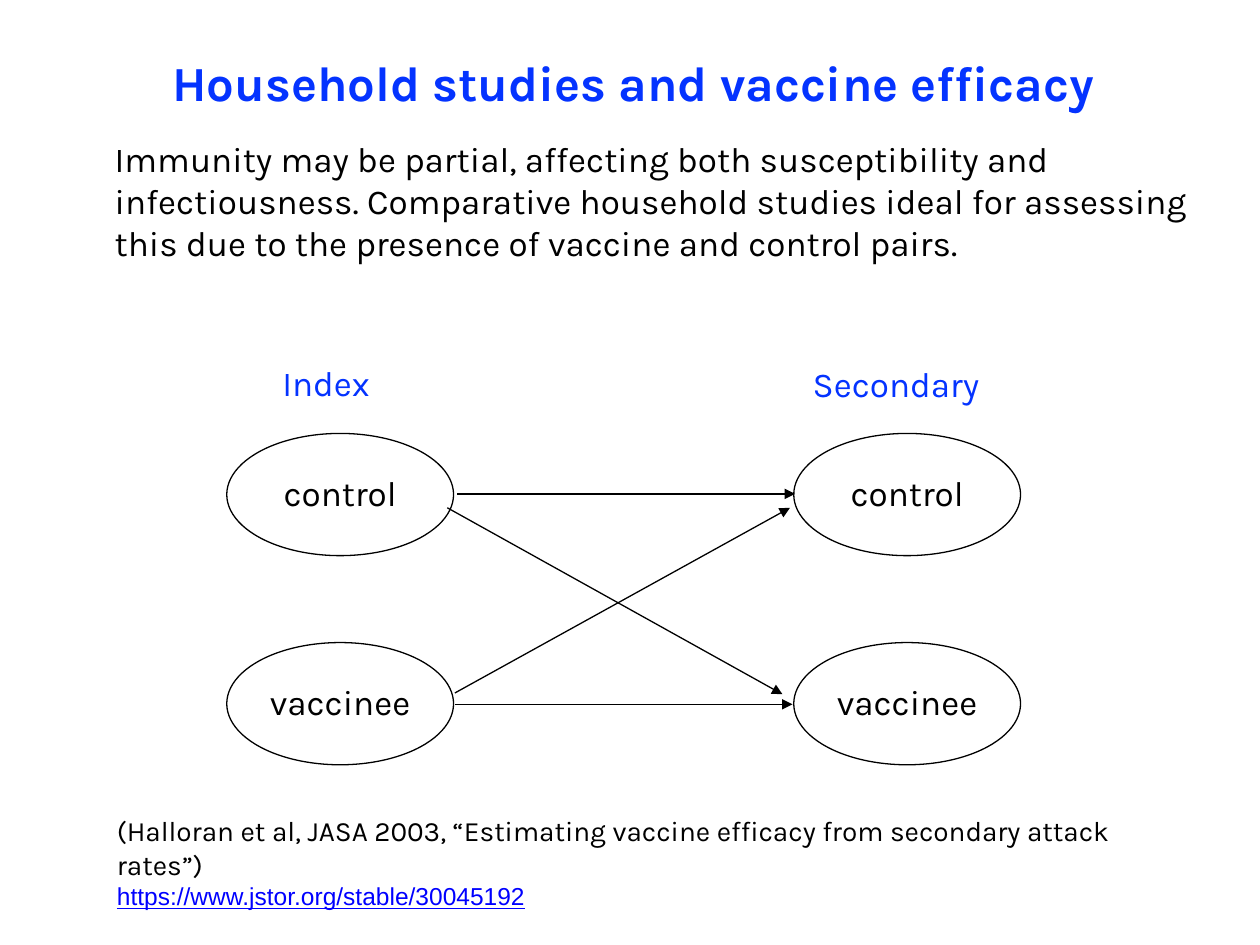
"""Build the slide on household studies and vaccine efficacy."""
from lxml import etree
from pptx import Presentation
from pptx.dml.color import RGBColor
from pptx.enum.shapes import MSO_CONNECTOR, MSO_SHAPE
from pptx.enum.text import MSO_ANCHOR, PP_ALIGN
from pptx.oxml.ns import qn
from pptx.util import Inches, Pt

LEFT, CENTER = PP_ALIGN.LEFT, PP_ALIGN.CENTER
TOP, MIDDLE = MSO_ANCHOR.TOP, MSO_ANCHOR.MIDDLE
OVAL, STRAIGHT = MSO_SHAPE.OVAL, MSO_CONNECTOR.STRAIGHT
COLORS = {"black": "000000", "heading": "0433FF", "link": "0000FF"}


def add_span(para, text, size, color, font="Karla"):
    span = para.add_run()
    span.text = text
    span.font.name = font
    span.font.size = Pt(size)
    span.font.color.rgb = RGBColor.from_string(COLORS[color])
    return span


def add_box(shapes, place, inset=0.06, indent=0.04, align=LEFT, anchor=TOP):
    frame = shapes.add_textbox(*map(Inches, place)).text_frame
    frame.word_wrap = True
    frame.vertical_anchor = anchor
    frame.margin_left = frame.margin_right = Inches(inset)
    frame.margin_top = frame.margin_bottom = Inches(inset)
    para = frame.paragraphs[0]
    para.alignment = align
    para._p.get_or_add_pPr().set("marL", str(Inches(indent)))
    return para


deck = Presentation()
deck.slide_width, deck.slide_height = Inches(10), Inches(7.5)
page = deck.slides.add_slide(deck.slide_layouts[6])

title = add_box(page.shapes, (0, 0.36, 10.01, 0.58), align=CENTER)
add_span(title, "Household studies and vaccine efficacy", 28, "heading").font.bold = True

intro = add_box(page.shapes, (0.81, 1.03, 8.82, 1.44))
add_span(
    intro,
    "Immunity may be partial, affecting both susceptibility and infectiousness. "
    "Comparative household studies ideal for assessing this due to the presence "
    "of vaccine and control pairs.",
    20,
    "black",
)

for heading, left, top in (("Secondary", 6.35, 2.82), ("Index", 2.14, 2.81)):
    add_span(add_box(page.shapes, (left, top, 1.99, 0.44)), heading, 20, "heading")

for left in (1.8, 6.3):
    for label, top in (("control", 3.44), ("vaccinee", 5.1)):
        group = page.shapes.add_group_shape()
        oval = group.shapes.add_shape(OVAL, *map(Inches, (left, top, 1.8, 0.97)))
        oval.shadow.inherit = False
        oval.fill.background()
        oval.line.color.rgb = RGBColor.from_string(COLORS["black"])
        oval.line.width = Pt(0.75)
        place = (left + 0.13, top + 0.25, 1.5, 0.44)
        name = add_box(group.shapes, place, align=CENTER, anchor=MIDDLE)
        add_span(name, label, 20, "black")

ARROWS = (
    (3.61, 5.59, 6.29, 5.59),
    (3.63, 3.92, 6.31, 3.92),
    (3.61, 5.5, 6.27, 4.03),
    (3.55, 4.03, 6.21, 5.51),
)
for ends in ARROWS:
    arrow = page.shapes.add_connector(STRAIGHT, *map(Inches, ends))
    arrow.line.color.rgb = RGBColor.from_string(COLORS["black"])
    arrow.line.width = Pt(0.75)
    etree.SubElement(arrow.line._get_or_add_ln(), qn("a:tailEnd"), type="triangle")
    etree.SubElement(arrow._element.spPr, qn("a:effectLst"))

citation = add_box(page.shapes, (0.83, 6.36, 8.7, 0.88), inset=0.1, indent=0)
add_span(
    citation,
    "(Halloran et al, JASA 2003, “Estimating vaccine efficacy from secondary attack rates”)",
    16,
    "black",
)
citation.add_line_break()
address = "https://www.jstor.org/stable/30045192"
add_span(citation, address, 14, "link", "Arial").font.underline = True

deck.save("out.pptx")
